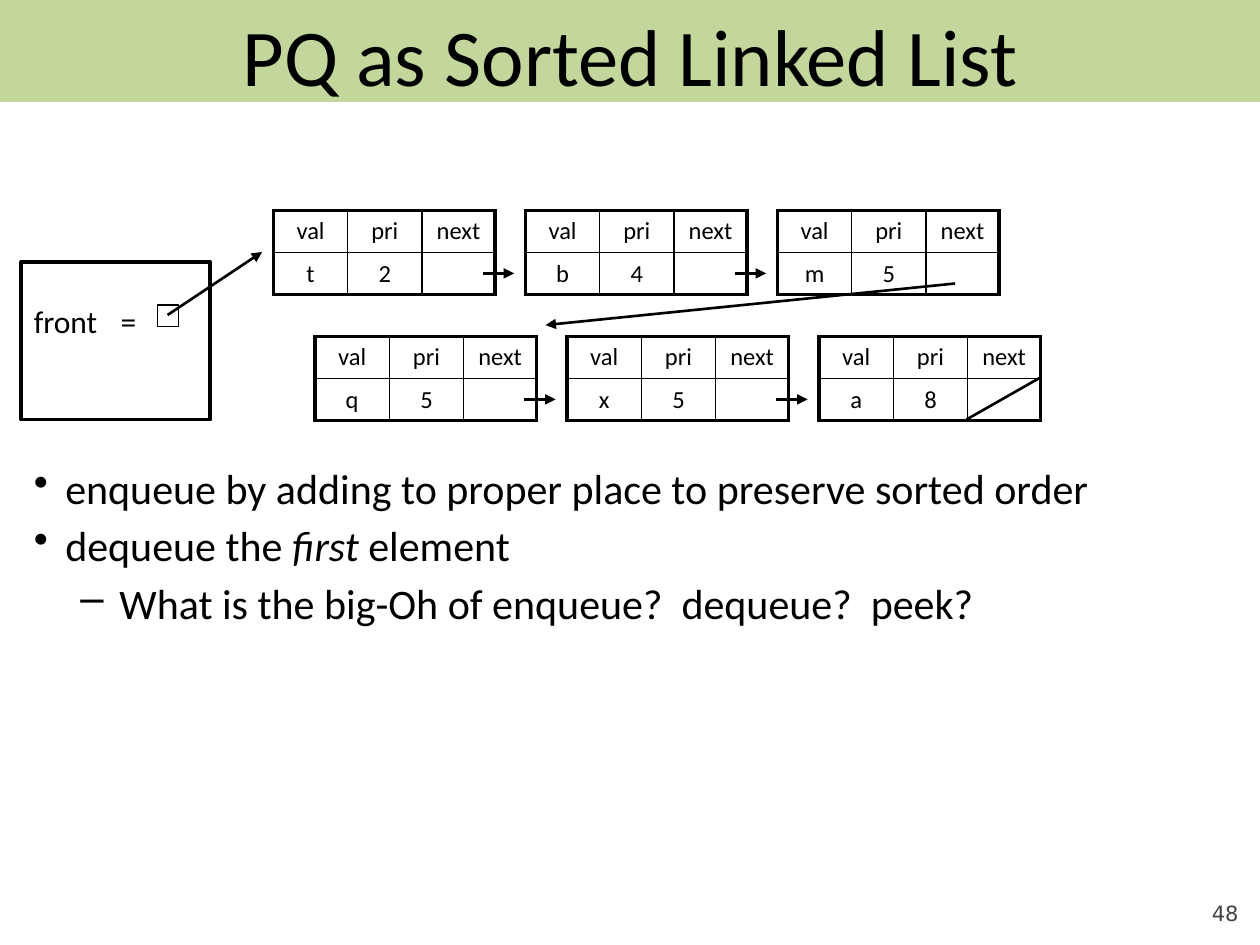
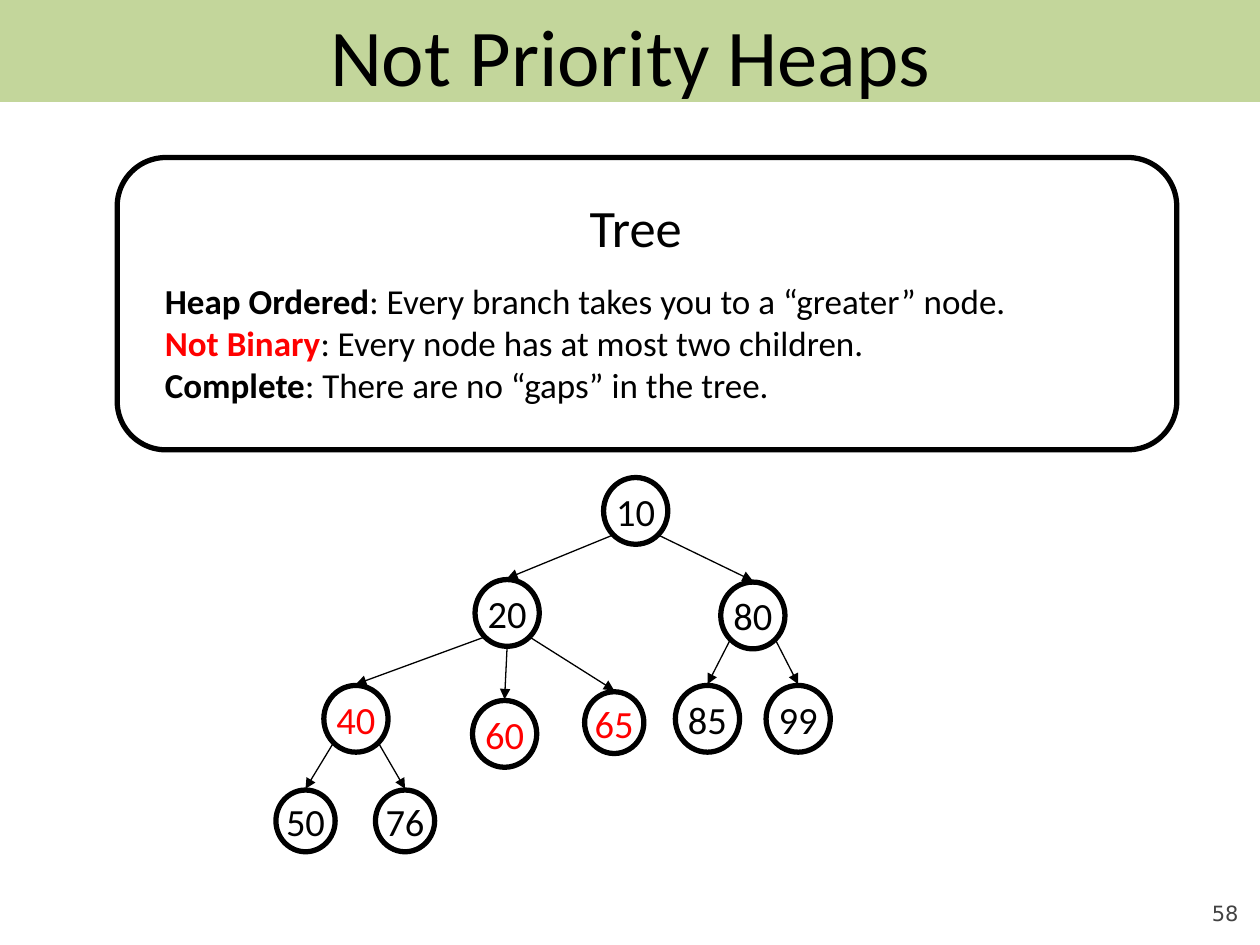
from lxml import etree
from pptx import Presentation
from pptx.dml.color import RGBColor
from pptx.enum.shapes import MSO_CONNECTOR, MSO_SHAPE
from pptx.enum.text import MSO_ANCHOR, MSO_AUTO_SIZE, PP_ALIGN
from pptx.oxml import parse_xml
from pptx.oxml.ns import qn
from pptx.util import Inches, Pt

RECT, ROUND, OVAL = MSO_SHAPE.RECTANGLE, MSO_SHAPE.ROUNDED_RECTANGLE, MSO_SHAPE.OVAL
STRAIGHT = MSO_CONNECTOR.STRAIGHT
TOP, MIDDLE, BOTTOM = MSO_ANCHOR.TOP, MSO_ANCHOR.MIDDLE, MSO_ANCHOR.BOTTOM
CENTER, RIGHT = PP_ALIGN.CENTER, PP_ALIGN.RIGHT
NO_FIT = MSO_AUTO_SIZE.NONE
BLACK, RED, GREEN, GRAY = "000000", "FF0000", "C3D69B", "424242"
SPACE = 'xmlns:a="http://schemas.openxmlformats.org/drawingml/2006/main"'
hue = RGBColor.from_string


def put(para, *runs, color=BLACK, **base):
    for text, extra in runs:
        run = para.add_run()
        run.text = text
        look = {"name": "Calibri", "color": color, **base, **extra}
        run.font.color.rgb = hue(look.pop("color"))
        for key, value in look.items():
            setattr(run.font, key, value)


def link(slide, start, end, width, arrow=True):
    line = slide.shapes.add_connector(STRAIGHT, *map(Inches, (*start, *end)))
    line.line.color.rgb = hue(BLACK)
    line.line.width = Pt(width)
    if arrow:
        etree.SubElement(line.get_or_add_ln(), qn("a:tailEnd"), type="triangle")
    etree.SubElement(line.element.spPr, qn("a:effectLst"))


deck = Presentation()
deck.slide_width, deck.slide_height = Inches(10), Inches(7.5)
slides = []
for name, number in (("PQ as Sorted Linked List", "48"), ("Not Priority Heaps", "58")):
    slide = deck.slides.add_slide(deck.slide_layouts[5])
    slides.append(slide)
    band = slide.shapes.add_shape(RECT, 0, 0, Inches(10), Inches(0.81))
    band.shadow.inherit = False
    band.fill.solid()
    band.fill.fore_color.rgb = hue(GREEN)
    band.line.fill.background()
    band.element.getparent().insert(2, band.element)
    title = slide.shapes.title
    title.left, title.top = Inches(0.5), Inches(0)
    title.width, title.height = Inches(9), Inches(0.75)
    frame = title.text_frame
    frame.auto_size, frame.vertical_anchor = NO_FIT, TOP
    frame.paragraphs[0].alignment = CENTER
    put(frame.paragraphs[0], (name, {}), size=Pt(46))
    foot = slide.shapes.add_textbox(Inches(9), Inches(6.95), Inches(0.83), Inches(0.4))
    frame = foot.text_frame
    frame.word_wrap, frame.vertical_anchor = True, BOTTOM
    frame.margin_right = frame.margin_bottom = 0
    frame.paragraphs[0].alignment = RIGHT
    put(frame.paragraphs[0], (number, {}), size=Pt(12), name="DejaVu Sans", color=GRAY)

queue, heap = slides
outlines = []

body = queue.shapes.add_textbox(Inches(0.17), Inches(3.62), Inches(9.83), Inches(1.6))
frame = body.text_frame
frame.word_wrap = True
points = [
    (0, "•", 0.25, -0.25, [("enqueue by adding to proper place to preserve sorted order", {})]),
    (0, "•", 0.25, -0.25, [("dequeue the ", {}), ("first", {"italic": True}), (" element", {})]),
    (1, "–", 0.68, -0.31, [("What is the big-Oh of enqueue?  dequeue?  peek?", {})]),
]
for i, (level, mark, left, hang, runs) in enumerate(points):
    para = frame.add_paragraph() if i else frame.paragraphs[0]
    props = para._p.get_or_add_pPr()
    props.set("marL", str(Inches(left)))
    props.set("indent", str(Inches(hang)))
    etree.SubElement(props, qn("a:buChar"), char=mark)
    para.level = level
    if i:
        para.space_before = Pt(4)
    put(para, *runs, size=Pt(24))

rows = [(2.17, 1.67, ["t2", "b4", "m5"]), (2.5, 2.67, ["q5", "x5", "a8"])]
for left, top, nodes in rows:
    for i, (val, pri) in enumerate(nodes):
        x = left + 2 * i
        table = queue.shapes.add_table(
            2, 3, Inches(x), Inches(top), Inches(1.75), Inches(0.67)).table
        table.first_row = table.horz_banding = False
        for col, width in zip(table.columns, (0.59, 0.59, 0.58)):
            col.width = Inches(width)
        for r, words in enumerate((("val", "pri", "next"), (val, pri, ""))):
            for c, word in enumerate(words):
                cell = table.cell(r, c)
                cell.margin_left = cell.margin_right = 0
                cell.margin_top = cell.margin_bottom = 0
                cell.vertical_anchor = MIDDLE
                cell.fill.background()
                sides = {"L": c == 0, "R": c == 2, "T": r == 0, "B": r == 1}
                for n, (side, outer) in enumerate(sides.items()):
                    width = Pt(2.25 if outer else 1)
                    cell._tc.get_or_add_tcPr().insert(n, parse_xml(
                        f'<a:ln{side} {SPACE} w="{width}"><a:solidFill>'
                        f'<a:srgbClr val="{BLACK}"/></a:solidFill></a:ln{side}>'))
                if word:
                    para = cell.text_frame.paragraphs[0]
                    para.alignment = CENTER
                    put(para, (word, {}), size=Pt(14))
        if i < 2:
            link(queue, (x + 1.66, top + 0.5), (x + 1.91, top + 0.5), 1.5)

front = queue.shapes.add_shape(RECT, Inches(0.17), Inches(2.08), Inches(1.5), Inches(1.25))
frame = front.text_frame
frame.vertical_anchor, frame.margin_top = TOP, Inches(0.32)
para = frame.paragraphs[0]
para.alignment = PP_ALIGN.LEFT
tabs = etree.SubElement(para._p.get_or_add_pPr(), qn("a:tabLst"))
etree.SubElement(tabs, qn("a:tab"), pos=str(Inches(0.69)), algn="l")
put(para, ("front\t=", {}), size=Pt(18))
slot = queue.shapes.add_shape(RECT, Inches(1.25), Inches(2.42), Inches(0.17), Inches(0.17))
outlines += [(front, 2.25), (slot, 0.75)]
link(queue, (1.33, 2.5), (2.08, 2), 1.5)
link(queue, (7.58, 2.25), (4.33, 2.58), 1.5)
link(queue, (8.25, 3), (7.67, 3.33), 1.5, arrow=False)

panel = heap.shapes.add_shape(ROUND, Inches(0.93), Inches(1.25), Inches(8.41), Inches(2.32))
outlines.append((panel, 3))
head = heap.shapes.add_textbox(Inches(4.54), Inches(1.5), Inches(0.97), Inches(0.61))
head.text_frame.word_wrap = False
head.text_frame.paragraphs[0].alignment = RIGHT
put(head.text_frame.paragraphs[0], ("Tree", {}), size=Pt(30))

rules = [
    ("Heap Ordered", BLACK, ": Every branch takes you to a “greater” node."),
    ("Not Binary", RED, ": Every node has at most two children."),
    ("Complete", BLACK, ": There are no “gaps” in the tree."),
]
frame = heap.shapes.add_textbox(
    Inches(1.21), Inches(2.17), Inches(7.61), Inches(1.11)).text_frame
frame.word_wrap = True
for i, (term, color, text) in enumerate(rules):
    para = frame.add_paragraph() if i else frame.paragraphs[0]
    put(para, (term, {"bold": True, "color": color}), (text, {}), size=Pt(20))

big, small = (0.51, 0.53), (0.47, 0.49)
tree = {
    "10": (4.79, 3.79, big, BLACK),
    "20": (3.77, 4.6, big, BLACK),
    "80": (5.72, 4.62, big, BLACK),
    "40": (2.57, 5.44, big, RED),
    "60": (3.75, 5.56, big, RED),
    "65": (4.64, 5.49, small, RED),
    "85": (5.36, 5.44, big, BLACK),
    "99": (6.08, 5.44, big, BLACK),
    "50": (2.19, 6.27, small, BLACK),
    "76": (2.98, 6.27, small, BLACK),
}
for key, (x, y, (w, h), color) in tree.items():
    node = heap.shapes.add_shape(OVAL, *map(Inches, (x, y, w, h)))
    outlines.append((node, 3))
    frame = node.text_frame
    frame.word_wrap, frame.vertical_anchor = False, MIDDLE
    frame.paragraphs[0].alignment = CENTER
    put(frame.paragraphs[0], (key, {}), size=Pt(22), color=color)

kids = {"10": ("20", None, "80"), "20": ("40", "60", "65"),
        "40": ("50", None, "76"), "80": ("85", None, "99")}
for key, group in kids.items():
    x, y, (w, h), _ = tree[key]
    for kid, dx, dy in zip(group, (0.15, 0.5, 0.85), (0.86, 1, 0.86)):
        if kid:
            kx, ky, (kw, _), _ = tree[kid]
            link(heap, (x + dx * w, y + dy * h), (kx + kw / 2, ky - 0.01), 0.75)

for shape, width in outlines:
    shape.shadow.inherit = False
    shape.fill.background()
    shape.line.color.rgb = hue(BLACK)
    shape.line.width = Pt(width)

deck.save("out.pptx")
